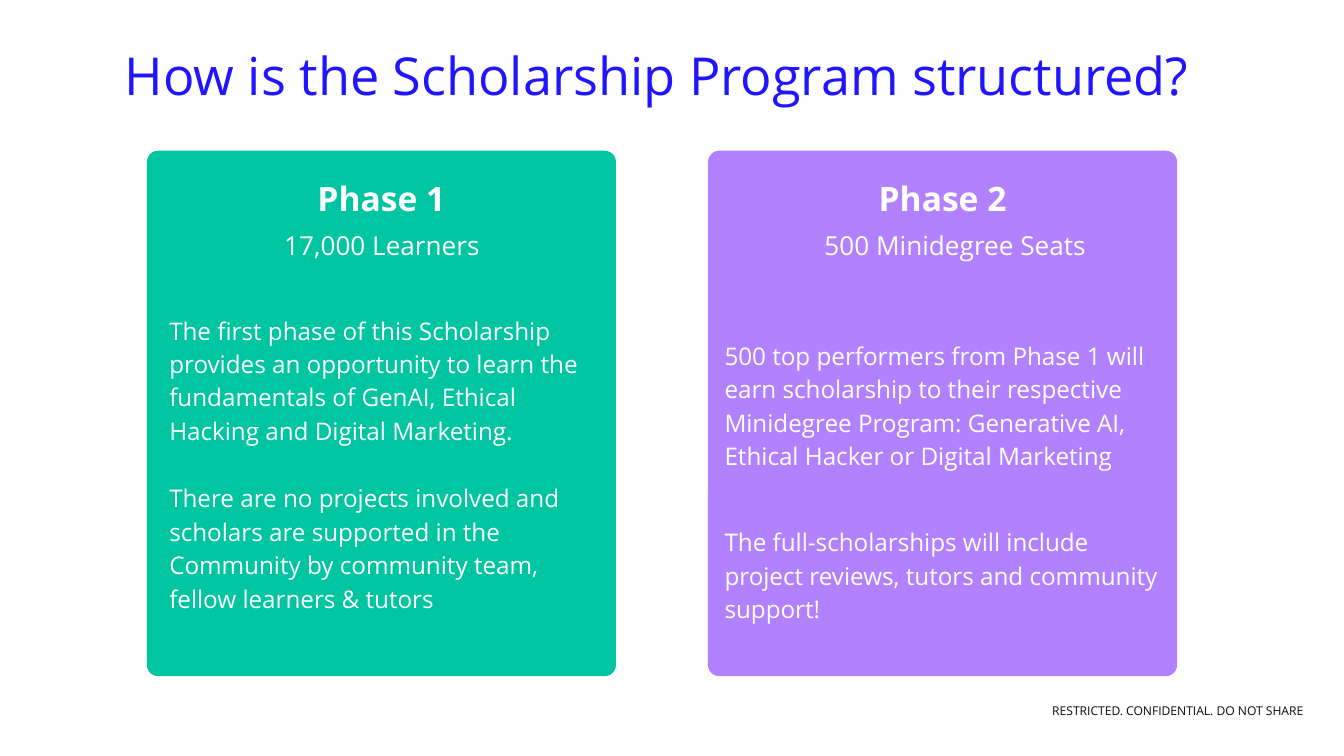
"""Build a slide that compares the two phases of the scholarship program."""
import pptx
import pptx.dml.color
import pptx.enum.shapes
import pptx.enum.text
import pptx.util

ALIGN = pptx.enum.text.PP_ALIGN
ANCHOR = pptx.enum.text.MSO_ANCHOR

deck = pptx.Presentation()
deck.slide_width = pptx.util.Inches(10)
deck.slide_height = deck.slide_width * 9 // 16
slide = deck.slides.add_slide(deck.slide_layouts[6])
column = deck.slide_width / 100
row = deck.slide_height / 100


def place(left, top, width, height):
    return (round(left * column), round(top * row), round(width * column), round(height * row))


def write(text, area=None, holder=None, size=13, color="FFFFFF", bold=False, align=ALIGN.LEFT,
          anchor=ANCHOR.TOP, line=1.15, gap=0, insets=(0, 0, 0, 0)):
    frame = (holder or slide.shapes.add_textbox(*place(*area))).text_frame
    frame.word_wrap = True
    frame.vertical_anchor = anchor
    frame.margin_left, frame.margin_top, frame.margin_right, frame.margin_bottom = map(pptx.util.Inches, insets)
    frame.text = text
    for index, paragraph in enumerate(frame.paragraphs):
        paragraph.alignment = align
        paragraph.line_spacing = line
        paragraph.space_before = pptx.util.Pt(gap if index else 0)
        paragraph.font.name = "Open Sans"
        paragraph.font.size = pptx.util.Pt(size)
        paragraph.font.bold = bold
        paragraph.font.color.rgb = pptx.dml.color.RGBColor.from_string(color)


write("RESTRICTED. CONFIDENTIAL. DO NOT SHARE", area=(61.8, 92.3, 35.2, 3.4), size=6.5,
      color="0B0B0B", align=ALIGN.RIGHT, anchor=ANCHOR.MIDDLE, line=1)
write("How is the Scholarship Program structured?", area=(9.3, 3.8, 86.6, 12), size=28,
      color="2015FF", anchor=ANCHOR.MIDDLE, line=1)

phases = [
    ("Phase 1", "17,000 Learners", "00C5A1", 0),
    ("Phase 2", "500 Minidegree Seats", "B181FF", 0.9),
]
cards = []
for number, (phase, places, fill, shift) in enumerate(phases):
    left = 10.93 + number * 41.75
    card = slide.shapes.add_shape(pptx.enum.shapes.MSO_SHAPE.ROUNDED_RECTANGLE,
                                  *place(left, 19.95, 34.9, 69.5))
    card.adjustments[0] = 0.024
    card.shadow.inherit = False
    card.fill.solid()
    card.fill.fore_color.rgb = pptx.dml.color.RGBColor.from_string(fill)
    card.line.fill.background()
    cards.append(card)
    write(phase, area=(left + 4.35, 22.75, 26.2, 5.3), size=18, bold=True, align=ALIGN.CENTER)
    write(places, area=(left + 5.2 + shift, 29.7, 24.6, 8.4), size=14, align=ALIGN.CENTER)

write("The first phase of this Scholarship provides an opportunity to learn the fundamentals of "
      "GenAI, Ethical Hacking and Digital Marketing.\n"
      "There are no projects involved and scholars are supported in the Community by community "
      "team, fellow learners & tutors",
      area=(12.6, 41.2, 31.7, 37.4), gap=18)
write("500 top performers from Phase 1 will earn scholarship to their respective Minidegree "
      "Program: Generative AI, Ethical Hacker or Digital Marketing\n"
      "The full-scholarships will include project reviews, tutors and community support!",
      holder=cards[1], gap=28, insets=(0.1, 1.36, 0.1, 0.1))

deck.save("out.pptx")
